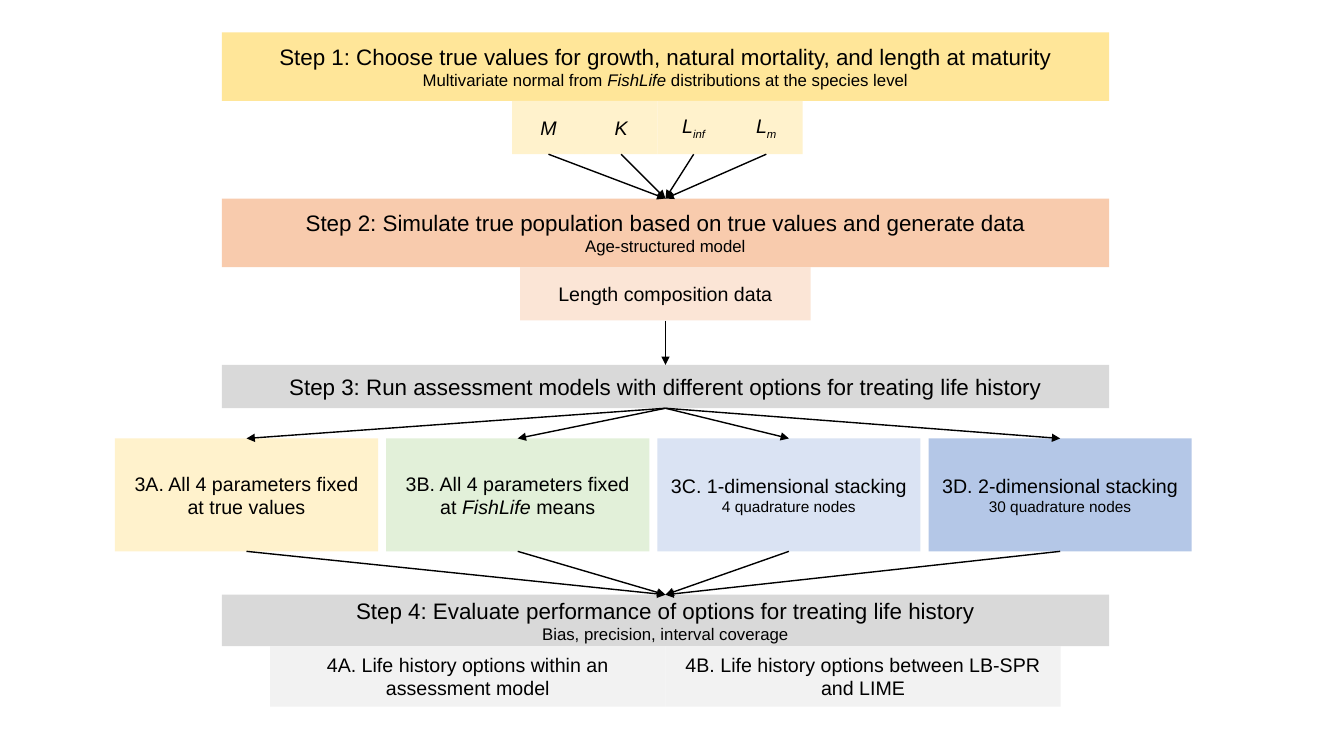
"""Flow chart of a four-step simulation study of life history options."""
from lxml.etree import SubElement
from pptx import Presentation
from pptx.dml.color import RGBColor
from pptx.enum.shapes import MSO_CONNECTOR, MSO_SHAPE
from pptx.enum.text import MSO_ANCHOR, PP_ALIGN
from pptx.oxml.ns import qn
from pptx.util import Inches, Pt

BLACK = RGBColor(0x00, 0x00, 0x00)
GOLD = RGBColor(0xFF, 0xE6, 0x99)
CREAM = RGBColor(0xFF, 0xF2, 0xCC)
ORANGE = RGBColor(0xF8, 0xCB, 0xAD)
PEACH = RGBColor(0xFB, 0xE5, 0xD6)
GRAY = RGBColor(0xD9, 0xD9, 0xD9)
PALE_GRAY = RGBColor(0xF2, 0xF2, 0xF2)
GREEN = RGBColor(0xE2, 0xF0, 0xD9)
PALE_BLUE = RGBColor(0xDA, 0xE3, 0xF3)
BLUE = RGBColor(0xB4, 0xC7, 0xE7)

STEP, DETAIL, ITEM, NODES = 16, 12, 14, 11
TOP_SITE, BOTTOM_SITE = 0, 2


class FlowChart:
    def __init__(self, slide, font="Arial", color=BLACK):
        self.slide, self.font, self.color = slide, font, color

    def box(self, left, top, width, height, fill, *lines):
        box = self.slide.shapes.add_shape(
            MSO_SHAPE.RECTANGLE, Inches(left), Inches(top), Inches(width), Inches(height))
        box.shadow.inherit = False
        box.fill.solid()
        box.fill.fore_color.rgb = fill
        box.line.fill.background()
        frame = box.text_frame
        frame.word_wrap = True
        frame.vertical_anchor = MSO_ANCHOR.MIDDLE
        for index, (size, text) in enumerate(lines):
            paragraph = frame.add_paragraph() if index else frame.paragraphs[0]
            paragraph.alignment = PP_ALIGN.CENTER
            paragraph.font.name = self.font
            paragraph.font.size = Pt(size)
            paragraph.font.color.rgb = self.color
            self.add_marked_text(paragraph, text)
        return box

    def add_marked_text(self, paragraph, text):
        for position, part in enumerate(text.split("*")):
            for level, piece in enumerate(part.split("_")):
                if piece:
                    run = paragraph.add_run()
                    run.text = piece
                    if position % 2:
                        run.font.italic = True
                    if level % 2:
                        run._r.get_or_add_rPr().set("baseline", "-25000")

    def arrow(self, source, target):
        arrow = self.slide.shapes.add_connector(MSO_CONNECTOR.STRAIGHT, 0, 0, 0, 0)
        arrow.begin_connect(source, BOTTOM_SITE)
        arrow.end_connect(target, TOP_SITE)
        arrow.line.color.rgb = self.color
        arrow.line.width = Pt(1)
        properties = arrow._element.spPr
        SubElement(properties.find(qn("a:ln")), qn("a:tailEnd"), type="triangle")
        SubElement(properties, qn("a:effectLst"))


presentation = Presentation()
presentation.slide_width, presentation.slide_height = Inches(13.33), Inches(7.5)
chart = FlowChart(presentation.slides.add_slide(presentation.slide_layouts[6]))

STEPS = (
    (0.32, 0.68, GOLD,
     (STEP, "Step 1: Choose true values for growth, natural mortality, and length at maturity"),
     (DETAIL, "Multivariate normal from *FishLife* distributions at the species level")),
    (1.97, 0.68, ORANGE,
     (STEP, "Step 2: Simulate true population based on true values and generate data"),
     (DETAIL, "Age-structured model")),
    (3.62, 0.43, GRAY,
     (STEP, "Step 3: Run assessment models with different options for treating life history")),
    (5.9, 0.51, GRAY,
     (STEP, "Step 4: Evaluate performance of options for treating life history"),
     (DETAIL, "Bias, precision, interval coverage")),
)
choose, simulate, assess, evaluate = [
    chart.box(2.2, top, 8.8, height, fill, *lines) for top, height, fill, *lines in STEPS]

for column, symbol in enumerate(("*M*", "*K*", "*L_inf_*", "*L_m_*")):
    parameter = chart.box(5.08 + 0.72 * column, 1, 0.72, 0.53, CREAM, (ITEM, symbol))
    chart.arrow(parameter, simulate)

length_data = chart.box(5.16, 2.65, 2.88, 0.53, PEACH, (ITEM, "Length composition data"))
chart.arrow(length_data, assess)

OPTIONS = (
    (CREAM, (ITEM, "3A. All 4 parameters fixed at true values")),
    (GREEN, (ITEM, "3B. All 4 parameters fixed at *FishLife* means")),
    (PALE_BLUE, (ITEM, "3C. 1-dimensional stacking"), (NODES, "4 quadrature nodes")),
    (BLUE, (ITEM, "3D. 2-dimensional stacking"), (NODES, "30 quadrature nodes")),
)
for column, (fill, *lines) in enumerate(OPTIONS):
    option = chart.box(1.14 + 2.69 * column, 4.35, 2.61, 1.12, fill, *lines)
    chart.arrow(assess, option)
    chart.arrow(option, evaluate)

for column, comparison in enumerate((
        "4A. Life history options within an assessment model",
        "4B. Life history options between LB-SPR and LIME")):
    chart.box(2.68 + 3.92 * column, 6.41, 3.92, 0.6, PALE_GRAY, (ITEM, comparison))

presentation.save("out.pptx")
